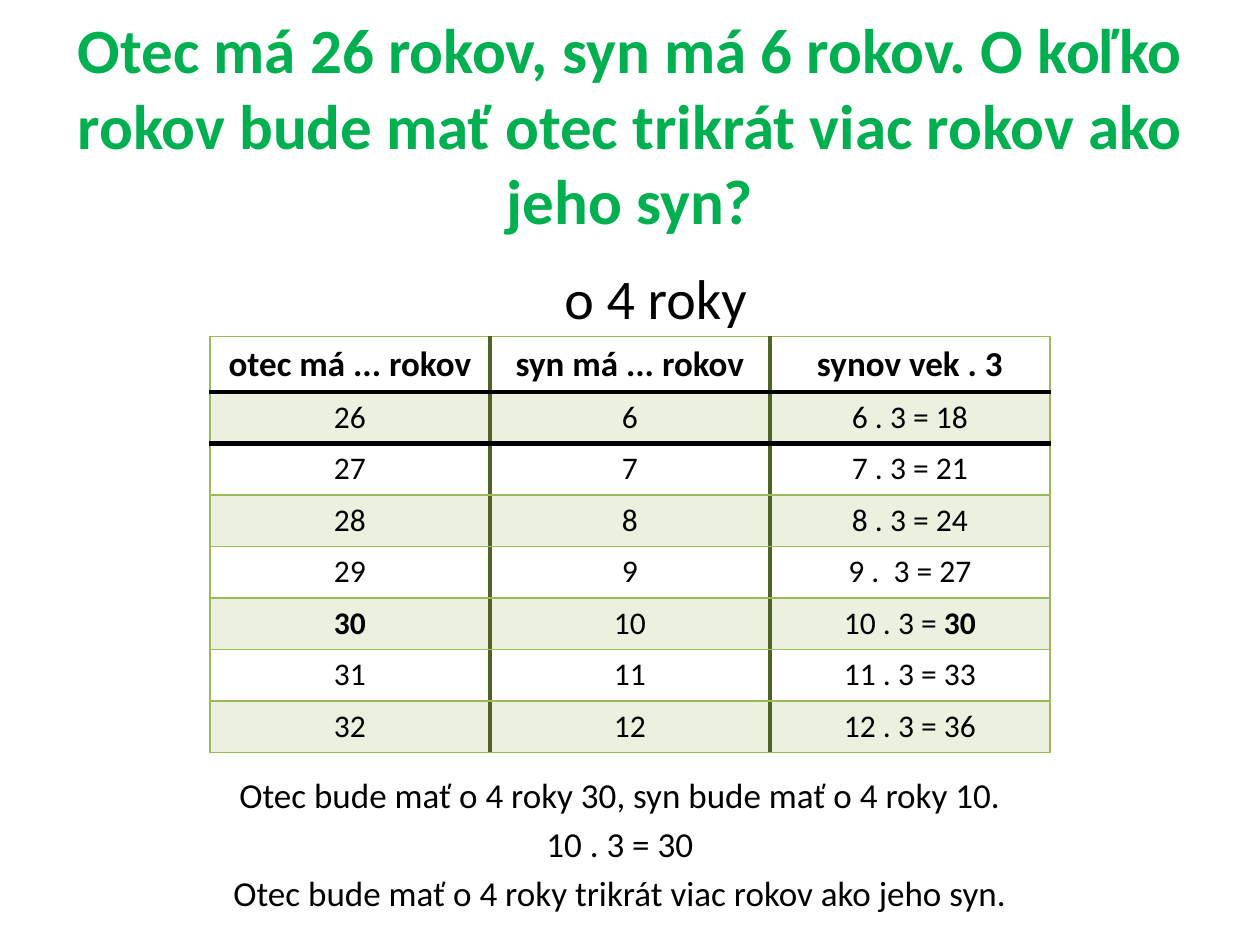
import pptx
import pptx.dml.color
import pptx.enum.text
import pptx.util
from lxml import etree
from pptx.oxml.ns import qn

W, H = 10, 7.5
GREEN, OLIVE, BAND, BLACK = "9BBB59", "4F6228", "EBF1DE", "000000"
CENTER = pptx.enum.text.PP_ALIGN.CENTER
LEFT = pptx.enum.text.PP_ALIGN.LEFT

TITLE = "Otec má 26 rokov, syn má 6 rokov. O koľko rokov bude mať otec trikrát viac rokov ako jeho syn?"
ANSWER = "o 4 roky"
CHECK = ["Otec bude mať o 4 roky 30, syn bude mať o 4 roky 10.",
         "10 . 3 = 30",
         "Otec bude mať o 4 roky trikrát viac rokov ako jeho syn."]
# Each cell is a list of (text, bold) runs
HEADER = [[(t, True)] for t in ("otec má ... rokov", "syn má ... rokov", "synov vek . 3")]
PRODUCTS = ["6 . 3 = 18", "7 . 3 = 21", "8 . 3 = 24", "9 .  3 = 27",
            "10 . 3 = 30", "11 . 3 = 33", "12 . 3 = 36"]


def color(value):
    return pptx.dml.color.RGBColor.from_string(value)


def inches(*values):
    return [pptx.util.Inches(v) for v in values]


def place(shape, box):
    for name, value in zip(("left", "top", "width", "height"), inches(*box)):
        setattr(shape, name, value)


def write(p, runs, size, fill=BLACK, align=CENTER):
    p.alignment = align
    for text, bold in runs:
        r = p.add_run()
        r.text = text
        r.font.color.rgb = color(fill)
        style = {"name": "Calibri", "size": pptx.util.Pt(size), "bold": bold}
        for name, value in style.items():
            setattr(r.font, name, value)


def set_border(cell, side, fill, width):
    """Borders come before the fill in the cell properties."""
    ln = etree.Element(qn("a:ln" + side), w=str(pptx.util.Pt(width)))
    solid = etree.SubElement(ln, qn("a:solidFill"))
    etree.SubElement(solid, qn("a:srgbClr"), val=fill)
    cell._tc.get_or_add_tcPr().insert("LRTB".index(side), ln)


def add_title(s, box):
    place(s.shapes.title, box)
    tf = s.shapes.title.text_frame
    tf.auto_size = pptx.enum.text.MSO_AUTO_SIZE.NONE
    tf.vertical_anchor = pptx.enum.text.MSO_ANCHOR.MIDDLE
    tf.margin_bottom = pptx.util.Inches(0.66)  # lifts the text above the answer
    write(tf.paragraphs[0], [(TITLE, True)], 36, "00B050")


def add_body(s, box):
    """Answer above the table, check of the answer below it."""
    body = s.placeholders[1]
    place(body, box)
    tf = body.text_frame
    tf.auto_size = pptx.enum.text.MSO_AUTO_SIZE.NONE
    table_gap = 253
    for i, text in enumerate([ANSWER] + CHECK):
        p = tf.paragraphs[0] if i == 0 else tf.add_paragraph()
        pPr = p._p.get_or_add_pPr()
        pPr.set("marL", str(pptx.util.Inches(0 if i else 0.44 * box[2])))
        pPr.set("indent", "0")
        etree.SubElement(pPr, qn("a:buNone"))
        p.space_before = pptx.util.Pt((0, table_gap, 4, 4)[i])
        write(p, [(text, False)], 20 if i else 32, align=CENTER if i else LEFT)


def age_rows():
    rows = [HEADER]
    for son, product in enumerate(PRODUCTS, 6):
        father = son + 20
        solved = father == 3 * son
        left, right = product.rsplit(" ", 1)
        last = [(left + " ", False), (right, True)] if solved else [(product, False)]
        rows.append([[(str(father), solved)], [(str(son), False)], last])
    return rows


def add_age_table(s, box):
    rows = age_rows()
    n_rows, n_cols = len(rows), len(HEADER)
    table = s.shapes.add_table(n_rows, n_cols, *inches(*box)).table
    table.horz_banding = False
    for i, row in enumerate(rows):
        for j, runs in enumerate(row):
            cell = table.cell(i, j)
            write(cell.text_frame.paragraphs[0], runs, 18 if i else 20)
            if i % 2:
                cell.fill.solid()
                cell.fill.fore_color.rgb = color(BAND)
            else:
                cell.fill.background()
            # Thick inner verticals, thick rules around the starting ages
            thick = {"L": j > 0, "R": j < n_cols - 1, "T": i in (1, 2), "B": i in (0, 1)}
            for side, heavy in thick.items():
                strong = OLIVE if side in "LR" else BLACK
                set_border(cell, side, strong if heavy else GREEN, 3 if heavy else 1)


def main():
    prs = pptx.Presentation()
    prs.slide_width, prs.slide_height = inches(W, H)
    s = prs.slides.add_slide(prs.slide_layouts[1])
    add_title(s, (0.05 * W, 0.5, 0.9 * W, 1.58))
    add_body(s, (0.42, 2.04, 0.9 * W, 5.46))
    add_age_table(s, (W / 6, 2.67, W * 2 / 3, 3.27))
    prs.save("out.pptx")


if __name__ == "__main__":
    main()
